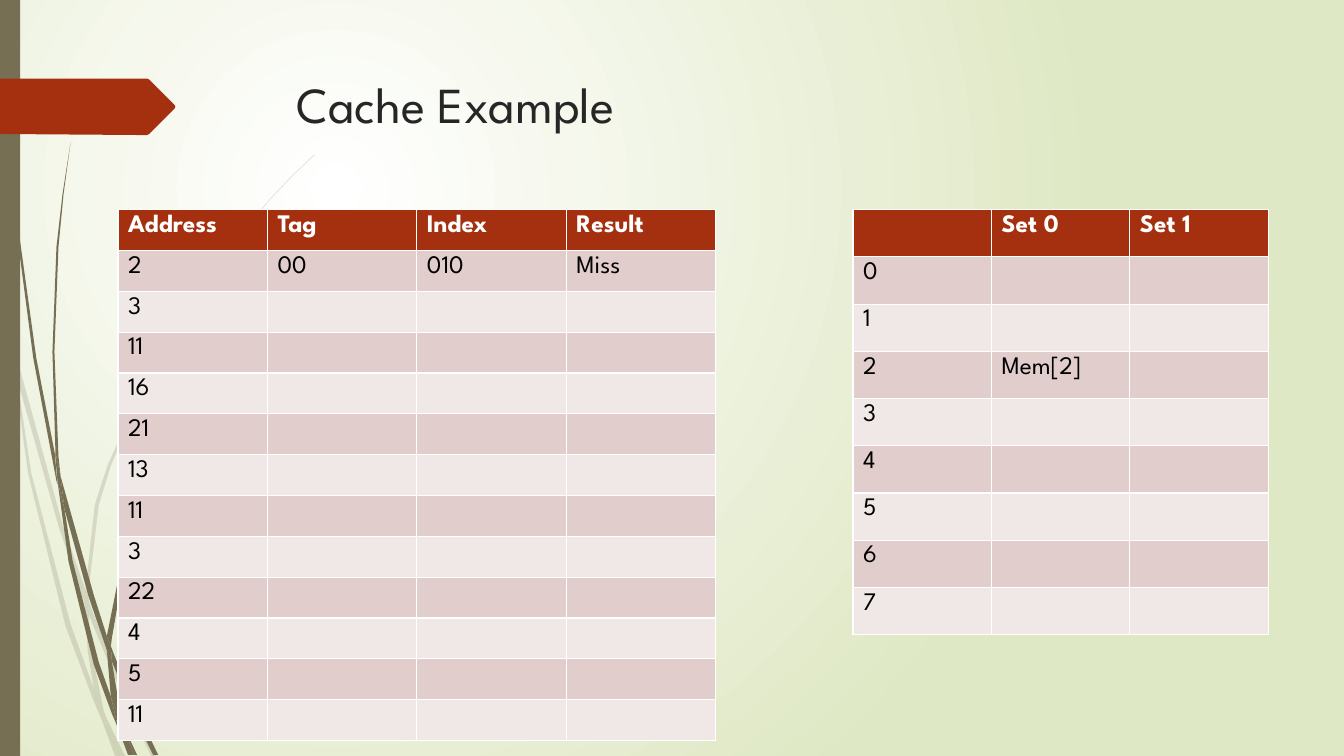
import dataclasses

import lxml.etree
import pptx
import pptx.dml.color
import pptx.enum.shapes
import pptx.oxml.ns
import pptx.util

SCALE = 9144
WIDTH, HEIGHT = 1333, 750


def px(length):
    return pptx.util.Emu(length * SCALE)


def rgb(code):
    return pptx.dml.color.RGBColor.from_string(code)


@dataclasses.dataclass(frozen=True)
class Theme:
    font: str = "League Spartan"
    title_size: int = 36
    table_size: int = 18
    glow: str = "FFFFFF"
    backdrop: str = "DFE8C4"
    stalk: str = "766F54"
    accent: str = "A53010"
    title: str = "262626"
    header_text: str = "FFFFFF"
    body_text: str = "000000"
    bands: tuple = ("E1CDCC", "F0E8E7")
    faint: int = 20


class SlideBuilder:
    def __init__(self, page, theme):
        self.page = page
        self.theme = theme

    def background(self, left, top, right, bottom):
        fill = self.page.background.fill
        fill.gradient()
        colors = (self.theme.glow, self.theme.backdrop)
        for position, (stop, color) in enumerate(zip(fill.gradient_stops, colors)):
            stop.color.rgb = rgb(color)
            stop.position = position
        qn = pptx.oxml.ns.qn
        gradient = next(self.page.background._cSld.iter(qn("a:gradFill")))
        gradient.remove(gradient.find(qn("a:lin")))
        circle = lxml.etree.SubElement(gradient, qn("a:path"), path="circle")
        edges = {"l": left, "t": top, "r": right, "b": bottom}
        lxml.etree.SubElement(circle, qn("a:fillToRect"),
                              {side: f"{value}%".replace("%", "000") for side, value in edges.items()})

    def paint(self, shape, color, opacity=100):
        shape.shadow.inherit = False
        shape.fill.solid()
        shape.fill.fore_color.rgb = rgb(color)
        shape.line.fill.background()
        if opacity < 100:
            qn = pptx.oxml.ns.qn
            paint = shape._element.spPr.find(qn("a:solidFill"))[0]
            lxml.etree.SubElement(paint, qn("a:alpha"), val=str(opacity * 1000))

    def outline(self, points, color, opacity=100, shapes=None):
        shapes = self.page.shapes if shapes is None else shapes
        builder = shapes.build_freeform(*points[0], scale=SCALE)
        builder.add_line_segments(points[1:], close=True)
        self.paint(builder.convert_to_shape(), color, opacity)

    def stalks(self, outlines, opacity=100):
        group = self.page.shapes.add_group_shape()
        for points in outlines:
            self.outline(points, self.theme.stalk, opacity, group.shapes)

    def bar(self, left, top, width, height):
        kind = pptx.enum.shapes.MSO_SHAPE.RECTANGLE
        shape = self.page.shapes.add_shape(kind, px(left), px(top), px(width), px(height))
        self.paint(shape, self.theme.stalk)

    def format(self, para, size, color, bold=False):
        for span in para.runs:
            span.font.name = self.theme.font
            span.font.size = pptx.util.Pt(size)
            span.font.bold = bold
            span.font.color.rgb = rgb(color)

    def title(self, text, left, top, width, height):
        box = self.page.shapes.add_textbox(px(left), px(top), px(width), px(height))
        box.text_frame.word_wrap = True
        box.text_frame.text = text
        self.format(box.text_frame.paragraphs[0], self.theme.title_size, self.theme.title)

    def table(self, header, rows, left, top, width, height):
        theme = self.theme
        grid = self.page.shapes.add_table(len(rows) + 1, len(header), px(left), px(top),
                                          px(width), px(height)).table
        for index, values in enumerate([header, *rows]):
            is_header = index == 0
            fill = theme.accent if is_header else theme.bands[(index - 1) % 2]
            color = theme.header_text if is_header else theme.body_text
            for column in range(len(header)):
                cell = grid.cell(index, column)
                cell.fill.solid()
                cell.fill.fore_color.rgb = rgb(fill)
                if column < len(values) and values[column]:
                    cell.text_frame.text = values[column]
                    self.format(cell.text_frame.paragraphs[0], theme.table_size, color, is_header)


FAINT_STALKS = [
    [(11, 350), (9, 322), (0, 282), (0, 299), (10, 344)],
    [(58, 522), (84, 599), (85, 586), (62, 520), (14, 345), (17, 376)],
    [(92, 607), (88, 596), (88, 610), (123, 694), (150, 750), (155, 750), (127, 692)],
    [(119, 750), (124, 750), (105, 711)],
    [(93, 683), (70, 619), (31, 469), (17, 376), (11, 350), (28, 470), (65, 621), (92, 693),
     (101, 714), (99, 707)],
    [(84, 599), (87, 646), (93, 683), (96, 692), (105, 711), (103, 706), (91, 646), (88, 610),
     (88, 608)],
    [(88, 584), (98, 501), (110, 462), (160, 349), (229, 245), (268, 198), (290, 175),
     (312, 154), (312, 153), (289, 175), (268, 197), (228, 244), (158, 348), (107, 461),
     (94, 501), (85, 584), (85, 586), (88, 596)],
    [(101, 714), (114, 750), (119, 750)],
    [(88, 608), (88, 596), (85, 586), (84, 599)],
    [(96, 692), (93, 683), (99, 707), (101, 714), (119, 750), (105, 711)],
]

DARK_STALKS = [
    [(7, 110), (17, 233), (33, 355), (56, 477), (57, 481), (55, 457), (55, 453), (36, 355),
     (19, 232), (8, 109), (5, 48), (4, 0), (3, 0), (4, 48)],
    [(88, 592), (106, 645), (106, 631), (93, 590), (60, 472), (64, 505)],
    [(113, 649), (110, 641), (111, 656), (132, 708), (152, 749), (157, 749), (136, 706)],
    [(110, 691), (98, 657), (72, 556), (64, 505), (57, 477), (68, 557), (93, 659), (111, 708),
     (117, 722), (116, 717)],
    [(60, 472), (58, 453), (54, 349), (58, 245), (63, 193), (70, 141), (62, 193), (56, 245),
     (52, 349), (55, 449)],
    [(133, 749), (136, 749), (122, 719)],
    [(57, 477), (64, 505), (60, 472), (55, 449), (55, 453)],
    [(111, 633), (125, 552), (158, 476), (205, 406), (231, 374), (245, 359), (261, 344),
     (260, 344), (245, 358), (231, 373), (204, 405), (156, 474), (122, 551), (106, 631),
     (110, 641)],
    [(117, 722), (127, 749), (131, 749)],
    [(106, 645), (110, 691), (116, 706), (122, 719), (121, 716), (111, 656), (109, 651)],
    [(106, 645), (109, 651), (111, 656), (110, 641), (106, 631)],
    [(116, 706), (110, 691), (116, 717), (117, 722), (130, 749), (133, 749), (122, 719)],
]

PAGE_MARKER = [(173, 108), (148, 133), (146, 134), (136, 134), (0, 133), (0, 78), (146, 78),
               (148, 79), (173, 104), (174, 106)]

ADDRESSES = ["3", "11", "16", "21", "13", "11", "3", "22", "4", "5", "11"]
CACHE_CONTENTS = {2: "Mem[2]"}


def main():
    deck = pptx.Presentation()
    deck.slide_width, deck.slide_height = px(WIDTH), px(HEIGHT)
    theme = Theme()
    builder = SlideBuilder(deck.slides.add_slide(deck.slide_layouts[6]), theme)

    builder.background(50, 50, 100, 100)
    builder.stalks(FAINT_STALKS, theme.faint)
    builder.stalks(DARK_STALKS)
    builder.bar(0, 0, 20, HEIGHT)
    builder.outline(PAGE_MARKER, theme.accent)
    builder.title("Cache Example", 284, 68, 975, 140)

    cache_rows = [[str(index), CACHE_CONTENTS.get(index, "")] for index in range(8)]
    builder.table(["", "Set 0", "Set 1"], cache_rows, 846, 208, 412, 422)
    access_rows = [["2", "00", "010", "Miss"], *([address] for address in ADDRESSES)]
    builder.table(["Address", "Tag", "Index", "Result"], access_rows, 117, 208, 593, 527)

    deck.save("out.pptx")


if __name__ == "__main__":
    main()
